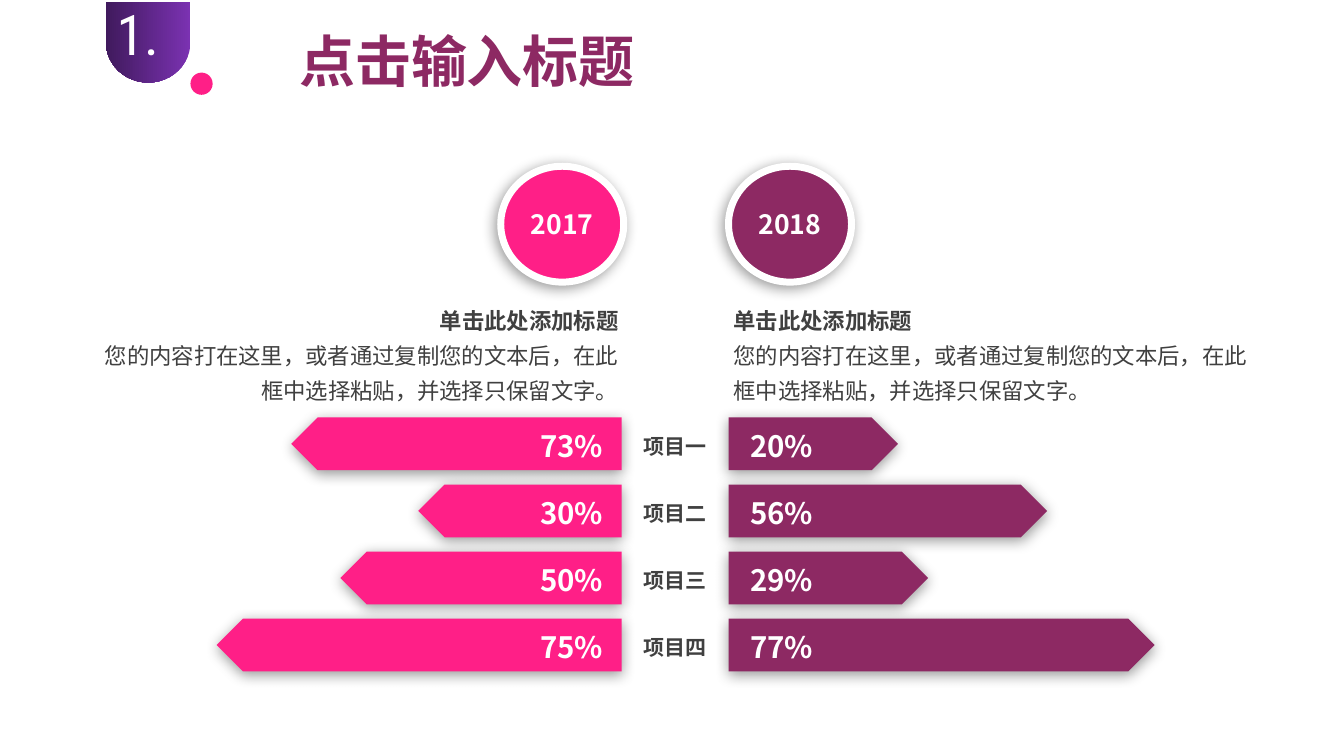
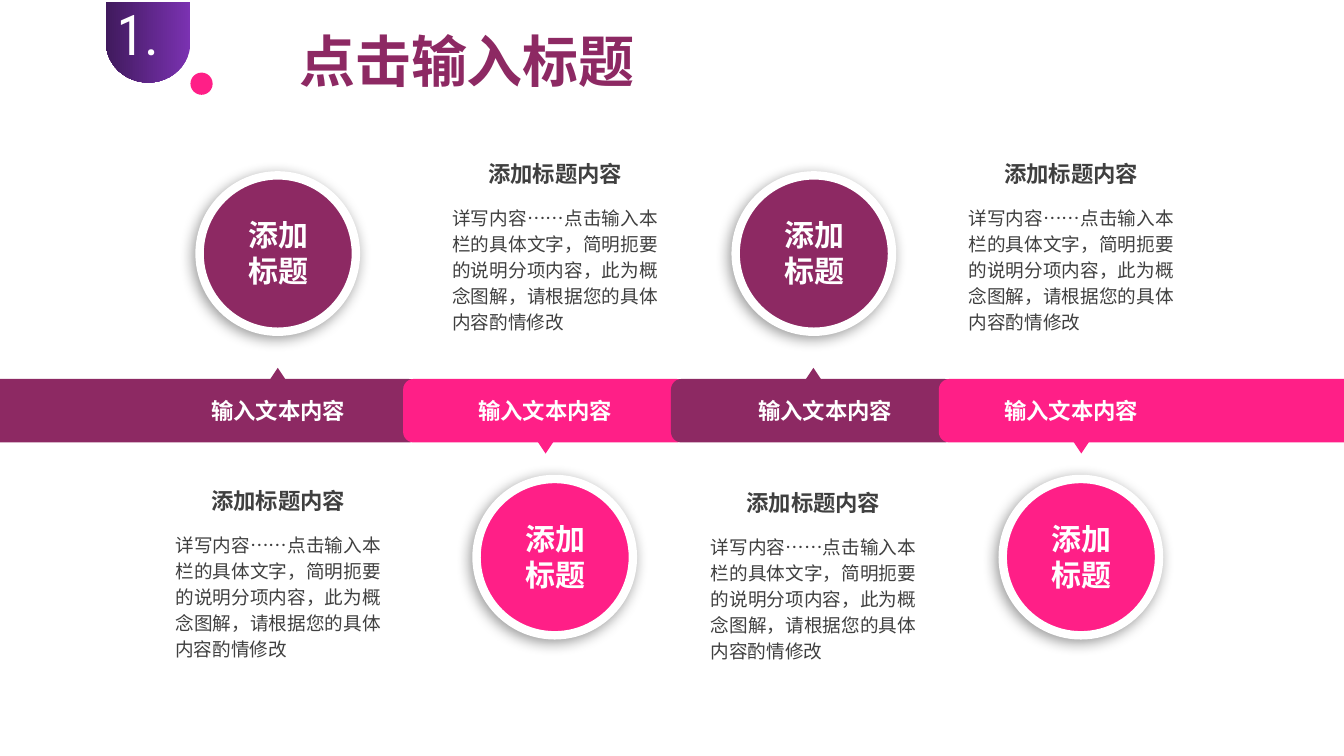
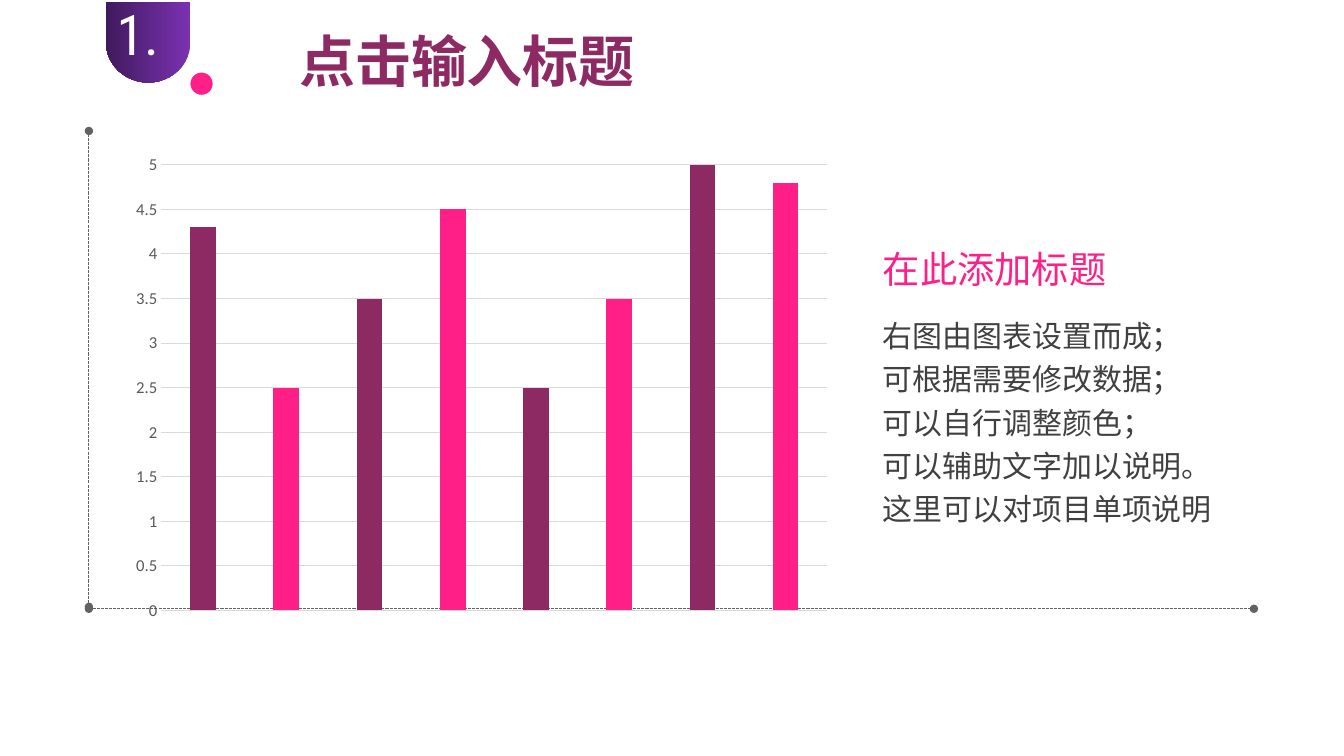
from lxml import etree
from pptx import Presentation
from pptx.chart.data import CategoryChartData
from pptx.dml.color import RGBColor
from pptx.enum.chart import XL_CHART_TYPE, XL_TICK_MARK
from pptx.enum.dml import MSO_LINE
from pptx.enum.shapes import MSO_CONNECTOR, MSO_SHAPE
from pptx.enum.text import PP_ALIGN
from pptx.oxml.ns import qn
from pptx.util import Cm, Pt

OVAL, ARROW, DELAY = MSO_SHAPE.OVAL, MSO_SHAPE.PENTAGON, MSO_SHAPE.FLOWCHART_DELAY
ROUND, PEAK = MSO_SHAPE.ROUNDED_RECTANGLE, MSO_SHAPE.ISOSCELES_TRIANGLE
LEFT, MID, RIGHT, JUST = PP_ALIGN.LEFT, PP_ALIGN.CENTER, PP_ALIGN.RIGHT, PP_ALIGN.JUSTIFY
COLUMN, NO_TICK = XL_CHART_TYPE.COLUMN_CLUSTERED, XL_TICK_MARK.NONE
STRAIGHT, DASH = MSO_CONNECTOR.STRAIGHT, MSO_LINE.SQUARE_DOT
SANS, SLIM, PLAIN = "Noto Sans CJK SC", "Roboto Condensed", "Calibri"
PLUM, PINK, WHITE, INK = "8D2963", "FF1F87", "FFFFFF", "404040"
LIGHT, DARK, GREY, AXIS, GRID = "7B32B2", "401A5D", "626262", "595959", "D9D9D9"


def color(code):
    """Turn a hex string into a colour."""
    return RGBColor.from_string(code)


def style(font, size, code, bold=False, name=SANS):
    """Set the look of a font."""
    font.size, font.bold, font.name = Pt(size), bold, name
    font.color.rgb = color(code)


def write(frame, lines, size, code, bold=False, name=SANS, align=LEFT, space=None):
    """Fill a text frame with one paragraph per line."""
    for num, line in enumerate(lines):
        para = frame.add_paragraph() if num else frame.paragraphs[0]
        para.text, para.alignment = line, align
        if space:
            para.line_spacing = space
        for run in para.runs:
            style(run.font, size, code, bold, name)
            east = etree.SubElement(run.font._element, qn("a:ea"))
            east.set("typeface", name)


def label(slide, box, lines, size, code, pad=(0.25, 0.13), **look):
    """Add a wrapping text box and return its frame."""
    frame = slide.shapes.add_textbox(*map(Cm, box)).text_frame
    frame.word_wrap = True
    frame.margin_left = frame.margin_right = Cm(pad[0])
    frame.margin_top = frame.margin_bottom = Cm(pad[1])
    write(frame, lines, size, code, **look)
    return frame


def shade(shape, dist, angle):
    """Give a shape a soft black shadow."""
    glow = etree.SubElement(shape.element.spPr.find(qn("a:effectLst")), qn("a:outerShdw"))
    for key, val in (("blurRad", Pt(10)), ("dist", Pt(dist)), ("dir", angle * 60000), ("rotWithShape", 0)):
        glow.set(key, str(int(val)))
    tint = etree.SubElement(glow, qn("a:srgbClr"), val="000000")
    etree.SubElement(tint, qn("a:alpha"), val="40000")


def block(slide, kind, box, code, flip=None):
    """Add a flat filled shape, mirrored on request."""
    shape = slide.shapes.add_shape(kind, *map(Cm, box))
    shape.shadow.inherit = False
    shape.fill.solid()
    shape.fill.fore_color.rgb = color(code)
    shape.line.fill.background()
    if flip:
        shape.element.spPr.find(qn("a:xfrm")).set(flip, "1")
    return shape


def disc(slide, box, code, rim):
    """Add a circle with a white rim and a shadow."""
    shape = block(slide, OVAL, box, code)
    shape.line.color.rgb = color(WHITE)
    shape.line.width = Pt(rim)
    shade(shape, 3, 135)
    return shape


def header(slide):
    """Add the title, the number tag and its dot."""
    label(slide, (7.29, 0.53, 9.47, 1.96), ["点击输入标题"], 40, PLUM, bold=True)
    tag = block(slide, DELAY, (2.72, 0, 2.03, 2.13), LIGHT)
    tag.rotation = 90
    tag.fill.gradient()
    tag.fill.gradient_angle = 270
    for stop, code in zip(tag.fill.gradient_stops, (LIGHT, DARK)):
        stop.color.rgb = color(code)
    label(slide, (2.69, -0.13, 1.85, 1.96), ["1."], 40, WHITE, name=SLIM)
    block(slide, OVAL, (4.8, 1.83, 0.56, 0.56), PINK)


def side(slide, box, year, code, bars, left):
    """Add one year: circle, text and arrow bars inside the box."""
    x, y, w, h = box
    inner = x + w if left else x
    spot = inner - 3.1 if left else inner
    ring = disc(slide, (spot, y, 3.1, 2.92), code, 5)
    write(ring.text_frame, [year], 19, WHITE, bold=True, align=MID)
    note = ["单击此处添加标题", "您的内容打在这里，或者通过复制您的文本后，在此框中选择粘贴，并选择只保留文字。"]
    frame = label(slide, (x, y + 3.3, w, 2.79), note, 16, INK, pad=(0.13, 0.05),
                  align=RIGHT if left else LEFT, space=1.3)
    frame.paragraphs[0].runs[0].font.bold = True
    for row, (part, width) in enumerate(bars):
        top = y + 6.33 + row * 1.69
        start = inner - 0.05 - width if left else inner
        shade(block(slide, ARROW, (start, top, width, 1.33), code, "flipH" if left else None), 2, 90)
        shift = -2.39 if left else 0.26
        label(slide, (inner + shift, top + 0.14, 2.16, 1.17), [part], 21, WHITE,
              pad=(0, 0.13), bold=True, align=MID)


def compare(slide):
    """Build the slide that sets two years side by side."""
    header(slide)
    side(slide, (2.26, 4.19, 13.46, 12.72), "2017", PINK,
         (("73%", 8.33), ("30%", 5.13), ("50%", 7.09), ("75%", 10.21)), True)
    side(slide, (18.36, 4.19, 13.77, 12.72), "2018", PLUM,
         (("20%", 4.27), ("56%", 8.03), ("29%", 5.03), ("77%", 10.74)), False)
    for row, mark in enumerate("一二三四"):
        label(slide, (15.96, 10.79 + row * 1.69, 2.11, 0.89), ["项目" + mark], 15, INK,
              pad=(0, 0.13), bold=True, align=MID)


def band(slide, box, code, peak, down):
    """Add a band piece with a small pointer centred at peak."""
    x, y, w, h = box
    block(slide, ROUND, box, code)
    top = y + h - 0.08 if down else y - 0.28
    block(slide, PEAK, (peak - 0.24, top, 0.48, 0.36), code, "flipV" if down else None)


def step(slide, ring, note, name, code):
    """Add the circle, the note and the band name of one step."""
    disc(slide, (*ring, 3.94, 3.94), code, 6)
    look = {"pad": (0, 0), "bold": True, "align": MID}
    label(slide, (ring[0] + 0.94, ring[1] + 1.04, 2.08, 1.83), ["添加标题"], 21.4, WHITE, **look)
    label(slide, (note[0] + 0.38, note[1] - 1.09, 4.42, 0.69), ["添加标题内容"], 16, INK, **look)
    text = "详写内容……点击输入本栏的具体文字，简明扼要的说明分项内容，此为概念图解，请根据您的具体内容酌情修改"
    label(slide, (*note, 5.18, 3.38), [text], 13.3, INK, pad=(0, 0), align=JUST, space=Pt(18.6))
    label(slide, (*name, 4.42, 0.69), ["输入文本内容"], 16, WHITE, **look)


def process(slide):
    """Build the slide with four steps along a band."""
    header(slide)
    steps = ((5.03, 4.42, 13.36, 4.8), (12.01, 11.4, 5.13, 11.53),
             (18.54, 17.91, 13.41, 18.59), (25.27, 24.41, 5.13, 24.79))
    for num in range(len(steps)):
        x = 3.41 + 6.75 * num
        start = -0.41 if num == 0 else x
        end = 34.28 if num == 3 else x + 7.16
        band(slide, (start, 9.55, end - start, 1.6), (PLUM, PINK)[num % 2], x + 3.59, num % 2)
    for num, (ring, note, top, name) in enumerate(steps):
        step(slide, (ring, (4.42, 12.07)[num % 2]), (note, top), (name, 10.01), (PLUM, PINK)[num % 2])


def rule(slide, ends):
    """Add a dashed line with a dot at each end."""
    link = slide.shapes.add_connector(STRAIGHT, *map(Cm, ends))
    link.line.color.rgb = color(GREY)
    link.line.width = Pt(0.75)
    link.line.dash_style = DASH
    props = link.element.spPr
    for end in ("a:headEnd", "a:tailEnd"):
        etree.SubElement(props.find(qn("a:ln")), qn(end), type="oval")
    etree.SubElement(props, qn("a:effectLst"))


def graph(slide, box):
    """Add the column chart with colours in turn."""
    data = CategoryChartData()
    data.categories = list("12345678")
    data.add_series("Series 1", (4.3, 2.5, 3.5, 4.5, 2.5, 3.5, 5, 4.8))
    chart = slide.shapes.add_chart(COLUMN, *map(Cm, box), data).chart
    chart.has_legend = chart.has_title = False
    style(chart.font, 10, "000000", name=PLAIN)
    chart.category_axis.visible = False
    axis = chart.value_axis
    axis.minimum_scale, axis.maximum_scale, axis.major_unit = 0, 5, 0.5
    axis.major_tick_mark = axis.minor_tick_mark = NO_TICK
    axis.format.line.fill.background()
    axis.major_gridlines.format.line.color.rgb = color(GRID)
    axis.major_gridlines.format.line.width = Pt(0.75)
    style(axis.tick_labels.font, 11.9, AXIS, name=PLAIN)
    plot = chart.plots[0]
    plot.vary_by_categories = False
    plot.gap_width, plot.overlap = 224, -100
    bars = plot.series[0]
    bars.format.fill.solid()
    bars.format.fill.fore_color.rgb = color(PLUM)
    for num in range(1, 8, 2):
        fill = bars.points[num].format.fill
        fill.solid()
        fill.fore_color.rgb = color(PINK)


def aside(slide, box):
    """Add the heading and the remarks beside the chart."""
    x, y, w, h = box
    label(slide, (x, y, w, 1.4), ["在此添加标题"], 26.6, PINK)
    lines = ["右图由图表设置而成；", "可根据需要修改数据；", "可以自行调整颜色；",
             "可以辅助文字加以说明。", "这里可以对项目单项说明"]
    label(slide, (x, y + 1.63, w, h - 1.63), lines, 21.4, INK, space=1.2)


def report(slide):
    """Build the slide with the chart and its remarks."""
    header(slide)
    rule(slide, (2.24, 15.29, 2.24, 3.3))
    rule(slide, (2.24, 15.34, 31.6, 15.34))
    graph(slide, (3.07, 3.66, 18.14, 12.22))
    aside(slide, (22, 6.07, 10.16, 7.35))


def main():
    """Build and save the deck."""
    deck = Presentation()
    deck.slide_width, deck.slide_height = Cm(33.87), Cm(19.05)
    for build in (compare, process, report):
        build(deck.slides.add_slide(deck.slide_layouts[6]))
    deck.save("out.pptx")


if __name__ == "__main__":
    main()
